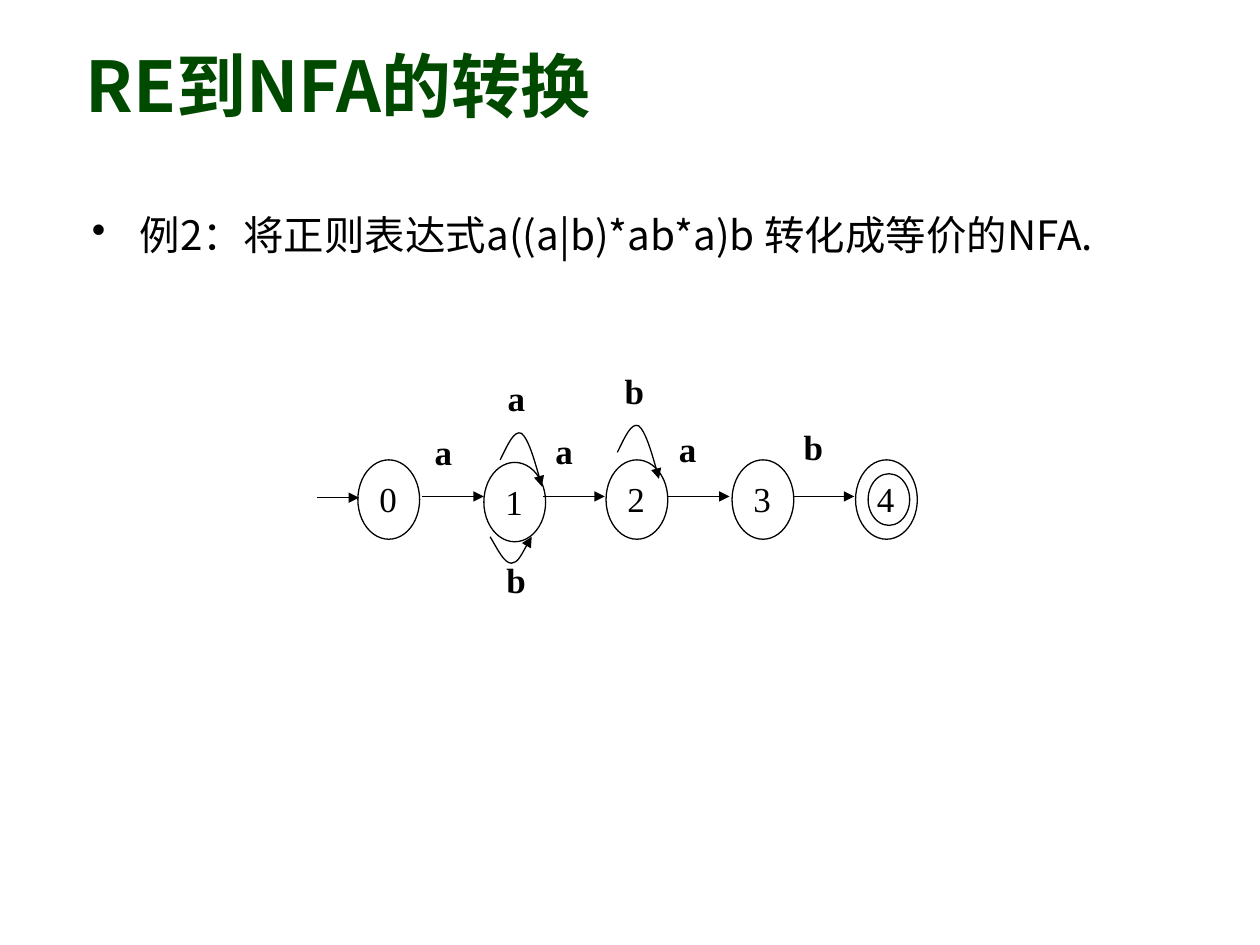
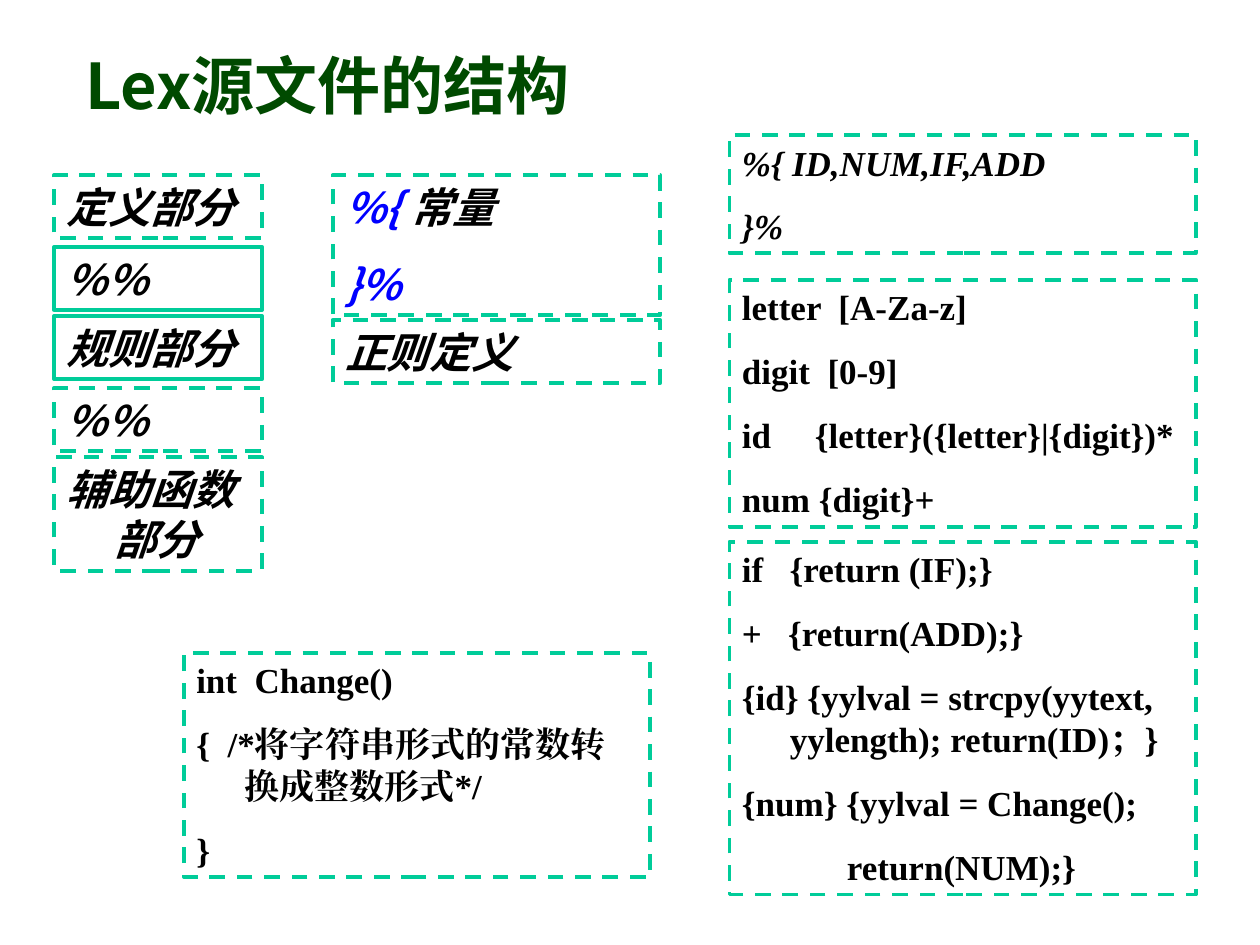
from lxml.etree import SubElement
from pptx import Presentation
from pptx.dml.color import RGBColor
from pptx.enum.dml import MSO_LINE
from pptx.enum.shapes import MSO_CONNECTOR, MSO_SHAPE
from pptx.enum.text import MSO_ANCHOR, PP_ALIGN
from pptx.oxml.ns import qn
from pptx.util import Inches, Pt

SANS = "Noto Sans CJK KR"
SANS_ITALIC = "Noto Sans CJK SC"
SERIF = "Times New Roman"
TITLE_GREEN = "004A00"
BORDER_GREEN = "00CC99"
BLACK = "000000"
BLUE = "0000FF"


def color(hex_string):
    return RGBColor.from_string(hex_string)


def write_text(shape, lines, size, font, ink=BLACK, bold=False, italic=False,
               hanging=False, bullet=None, line_height=None, gap=0):
    frame = shape.text_frame
    frame.word_wrap = True
    frame.text = "\n".join(lines)
    for index, paragraph in enumerate(frame.paragraphs):
        paragraph.alignment = PP_ALIGN.LEFT
        properties = paragraph._p.get_or_add_pPr()
        if hanging:
            properties.set("marL", str(Inches(0.38)))
            properties.set("indent", str(-Inches(0.38)))
        if bullet:
            SubElement(properties, qn("a:buChar")).set("char", bullet)
        if line_height:
            paragraph.line_spacing = Pt(line_height)
        if index:
            paragraph.space_before = Pt(gap)
        paragraph.font.size = Pt(size)
        paragraph.font.bold = bold
        paragraph.font.italic = italic
        paragraph.font.color.rgb = color(ink)
        paragraph.font.name = font
        defaults = properties.find(qn("a:defRPr"))
        SubElement(defaults, qn("a:ea")).set("typeface", font)


presentation = Presentation()
presentation.slide_width = Inches(10)
presentation.slide_height = Inches(7.5)

slides = []
for title, size in [("RE到NFA的转换", 40), ("Lex源文件的结构", 36)]:
    slide = presentation.slides.add_slide(presentation.slide_layouts[6])
    title_box = slide.shapes.add_textbox(Inches(0.58), Inches(0.17), Inches(8.49), Inches(1))
    title_box.text_frame.vertical_anchor = MSO_ANCHOR.MIDDLE
    write_text(title_box, [title], size, SANS, TITLE_GREEN, bold=True)
    slides.append(slide)
automaton_slide, lex_slide = slides

example = automaton_slide.shapes.add_textbox(Inches(0.63), Inches(1.62), Inches(9.25), Inches(0.63))
write_text(example, ["例2：将正则表达式a((a|b)*ab*a)b 转化成等价的NFA."], 23.1, SANS,
           hanging=True, bullet="•")

states = [("0", 2.84, 3.65), ("1", 3.84, 3.67), ("2", 4.81, 3.65), ("3", 5.81, 3.65), ("4", 6.79, 3.65)]
ellipses = [(name, left, top, 0.49, 0.63) for name, left, top in states]
ellipses.append((None, 6.89, 3.76, 0.33, 0.41))
for name, left, top, width, height in ellipses:
    ellipse = automaton_slide.shapes.add_shape(
        MSO_SHAPE.OVAL, Inches(left), Inches(top), Inches(width), Inches(height))
    ellipse.shadow.inherit = False
    ellipse.line.color.rgb = color(BLACK)
    ellipse.line.width = Pt(0.75)
    if name:
        ellipse.fill.solid()
        ellipse.fill.fore_color.rgb = color("FFFFFF")
        ellipse.text_frame.vertical_anchor = MSO_ANCHOR.TOP
        write_text(ellipse, [name], 20, SERIF)
    else:
        ellipse.fill.background()

arrows = []
transitions = [(2.52, 2.85, 3.95), (3.35, 3.84, 3.94), (4.31, 4.8, 3.94), (5.3, 5.79, 3.94), (6.29, 6.78, 3.94)]
for start, end, height in transitions:
    connector = automaton_slide.shapes.add_connector(
        MSO_CONNECTOR.STRAIGHT, Inches(start), Inches(height), Inches(end), Inches(height))
    SubElement(connector._element.spPr, qn("a:effectLst"))
    arrows.append(connector)

upper_loop = [(0.06, -0.12), (0.11, -0.24), (0.17, -0.21), (0.22, -0.17), (0.28, 0.02), (0.33, 0.21)]
lower_loop = [(0.06, 0.1), (0.11, 0.21), (0.17, 0.21), (0.22, 0.21), (0.27, 0.1), (0.33, 0)]
for left, top, offsets in [(3.97, 3.65, upper_loop), (3.89, 4.26, lower_loop), (4.9, 3.59, upper_loop)]:
    builder = automaton_slide.shapes.build_freeform(Inches(left), Inches(top))
    builder.add_line_segments(
        [(Inches(left + across), Inches(top + down)) for across, down in offsets], close=False)
    loop = builder.convert_to_shape()
    loop.shadow.inherit = False
    loop.fill.background()
    outline = loop._element.spPr.find(".//" + qn("a:path"))
    segments = outline.findall(qn("a:lnTo"))
    for first in range(0, len(segments), 3):
        curve = SubElement(outline, qn("a:cubicBezTo"))
        for segment in segments[first:first + 3]:
            curve.append(segment[0])
            outline.remove(segment)
    arrows.append(loop)

for arrow in arrows:
    arrow.line.color.rgb = color(BLACK)
    arrow.line.width = Pt(0.75)
    SubElement(arrow.line._get_or_add_ln(), qn("a:tailEnd")).set("type", "triangle")

labels = [("a", 3.35, 3.37), ("a", 4.31, 3.36), ("a", 5.29, 3.34), ("b", 6.28, 3.33),
          ("a", 3.93, 2.94), ("b", 3.92, 4.38), ("b", 4.86, 2.88)]
for symbol, left, top in labels:
    label = automaton_slide.shapes.add_textbox(Inches(left), Inches(top), Inches(0.49), Inches(0.63))
    write_text(label, [symbol], 20, SERIF, bold=True)

section_style = dict(size=24, font=SANS_ITALIC, italic=True, line_height=28.8, gap=15)
code_style = dict(size=20, font=SERIF, line_height=24, gap=12.5)
constants_style = dict(section_style, ink=BLUE)
header_style = dict(code_style, italic=True)
dash, solid = MSO_LINE.DASH, MSO_LINE.SOLID
panels = [
    (0.43, 1.39, 1.65, 0.5, dash, section_style, ["定义部分"]),
    (2.64, 1.39, 2.6, 1.11, dash, constants_style, ["%{ ", "}%"]),
    (0.43, 1.96, 1.65, 0.5, solid, section_style, ["%%"]),
    (0.43, 2.51, 1.65, 0.5, solid, section_style, ["规则部分"]),
    (0.43, 3.08, 1.65, 0.5, dash, section_style, ["%%"]),
    (0.43, 3.63, 1.65, 0.9, dash, section_style, ["辅助函数部分"]),
    (5.79, 1.07, 3.7, 0.94, dash, header_style, ["%{ ID,NUM,IF,ADD", "}%"]),
    (2.64, 2.54, 2.6, 0.5, dash, section_style, ["正则定义"]),
    (5.79, 2.22, 3.7, 1.96, dash, code_style,
     ["letter  [A-Za-z]", "digit  [0-9]", "id     {letter}({letter}|{digit})*", "num {digit}+"]),
    (5.79, 4.3, 3.7, 2.8, dash, code_style,
     ["if   {return (IF);}", "+   {return(ADD);}",
      "{id} {yylval = strcpy(yytext, yylength); return(ID)；}",
      "{num} {yylval = Change();", "            return(NUM);}"]),
    (1.46, 5.18, 3.7, 1.78, dash, code_style,
     ["int  Change()", "{  /*将字符串形式的常数转换成整数形式*/", "}"]),
]
for left, top, width, height, border, style, lines in panels:
    panel = lex_slide.shapes.add_shape(
        MSO_SHAPE.RECTANGLE, Inches(left), Inches(top), Inches(width), Inches(height))
    panel.shadow.inherit = False
    panel.fill.background()
    panel.line.color.rgb = color(BORDER_GREEN)
    panel.line.width = Pt(2.25)
    panel.line.dash_style = border
    panel.text_frame.vertical_anchor = MSO_ANCHOR.TOP
    write_text(panel, lines, bold=True, hanging=True, **style)
    if style is constants_style:
        constants = panel.text_frame.paragraphs[0].add_run()
        constants.text = "常量"
        constants.font.color.rgb = color(BLACK)

presentation.save("out.pptx")
